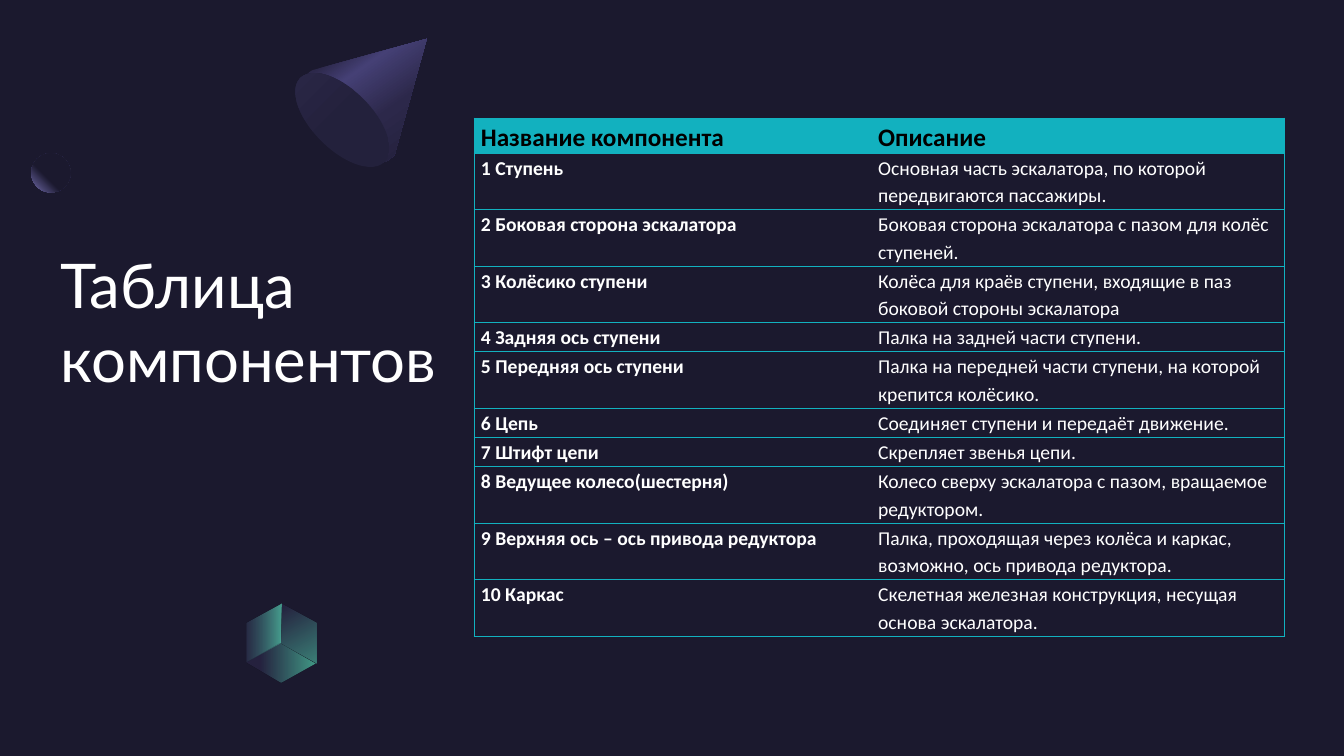
"""Build the slide with the table of escalator components."""
import math

import pptx
import pptx.dml.color
import pptx.enum.shapes
import pptx.enum.text
import pptx.oxml
import pptx.oxml.ns
import pptx.util

Inches = pptx.util.Inches
COLORS = {
    "night": "1B192E", "lilac": "7771B2", "violet": "454075", "plum": "2C284A",
    "ink": "23213C", "mint": "5BEFC1", "teal": "12B1BF", "white": "FFFFFF", "black": "000000",
}
HEADER = ("Название компонента", "Описание")
COMPONENTS = [
    ("1 Ступень", "Основная часть эскалатора, по которой передвигаются пассажиры."),
    ("2 Боковая сторона эскалатора", "Боковая сторона эскалатора с пазом для колёс ступеней."),
    ("3 Колёсико ступени", "Колёса для краёв ступени, входящие в паз боковой стороны эскалатора"),
    ("4 Задняя ось ступени", "Палка на задней части ступени."),
    ("5 Передняя ось ступени", "Палка на передней части ступени, на которой крепится колёсико."),
    ("6 Цепь", "Соединяет ступени и передаёт движение."),
    ("7 Штифт цепи", "Скрепляет звенья цепи."),
    ("8 Ведущее колесо(шестерня)", "Колесо сверху эскалатора с пазом, вращаемое редуктором."),
    ("9 Верхняя ось – ось привода редуктора",
     "Палка, проходящая через колёса и каркас, возможно, ось привода редуктора."),
    ("10 Каркас", "Скелетная железная конструкция, несущая основа эскалатора."),
]
CONE_SIDES = [(4.16, 0.42), (3.85, 1.54), (3.85, 1.55)]
CONE_RIM = [
    [(3.85, 1.55), (3.84, 1.57), (3.83, 1.59), (3.81, 1.6)],
    [(3.81, 1.6), (3.7, 1.72), (3.42, 1.63), (3.19, 1.39)],
    [(3.19, 1.39), (2.95, 1.16), (2.86, 0.88), (2.98, 0.77)],
    [(2.98, 0.77), (2.99, 0.75), (3.01, 0.74), (3.03, 0.73)],
]
CUBE_CENTER = (2.78, 6.38)
CUBE_FACES = [
    ([(3.13, 6.18), (2.79, 5.99), CUBE_CENTER, (3.13, 6.58)], (2.96, 6.28), 0, 60),
    ([(2.45, 6.57), (2.45, 6.18), (2.79, 5.99), CUBE_CENTER], (2.62, 6.28), 300, 100),
    ([(3.13, 6.58), (2.79, 6.77), (2.45, 6.57), CUBE_CENTER], (2.79, 6.58), 300, 60),
]


def rgb(color):
    return pptx.dml.color.RGBColor.from_string(COLORS[color])


def write_text(frame, text, font="Calibri", size=14, color="white", bold=False,
               line_spacing=None, space_after=None):
    paragraph = frame.paragraphs[0]
    paragraph.line_spacing = line_spacing
    if space_after is not None:
        paragraph.space_after = pptx.util.Pt(space_after)
    run = paragraph.add_run()
    run.text = text
    run.font.name, run.font.size, run.font.bold = font, pptx.util.Pt(size), bold
    run.font.color.rgb = rgb(color)


def curve_points(start, first, second, end, steps=8):
    for step in range(1, steps + 1):
        t = step / steps
        weights = ((1 - t) ** 3, 3 * t * (1 - t) ** 2, 3 * t * t * (1 - t), t ** 3)
        yield tuple(sum(w * point[axis] for w, point in zip(weights, (start, first, second, end)))
                    for axis in (0, 1))


def turn(point, pivot, degrees):
    angle = math.radians(degrees)
    dx, dy = point[0] - pivot[0], point[1] - pivot[1]
    return (Inches(pivot[0] + dx * math.cos(angle) - dy * math.sin(angle)),
            Inches(pivot[1] + dx * math.sin(angle) + dy * math.cos(angle)))


class Deck:
    def __init__(self):
        self.presentation = pptx.Presentation()
        self.presentation.slide_width = Inches(13.33)
        self.presentation.slide_height = Inches(7.5)
        self.slide = self.presentation.slides.add_slide(self.presentation.slide_layouts[6])
        self.shapes = self.slide.shapes
        backdrop = self.slide.background.fill
        backdrop.solid()
        backdrop.fore_color.rgb = rgb("night")

    def group(self):
        return self.slide.shapes.add_group_shape().shapes

    def gradient(self, shape, stops, direction):
        shape.fill.gradient()
        fill = shape._element.spPr.find(pptx.oxml.ns.qn("a:gradFill"))
        marks = "".join(
            f'<a:gs pos="{position * 1000}"><a:srgbClr val="{COLORS[color]}">'
            f'<a:alpha val="{alpha * 1000}"/></a:srgbClr></a:gs>'
            for position, color, alpha in stops)
        source = pptx.oxml.parse_xml(
            f'<a:gradFill {pptx.oxml.ns.nsdecls("a")} rotWithShape="1">'
            f'<a:gsLst>{marks}</a:gsLst>{direction}</a:gradFill>')
        fill.getparent().replace(fill, source)

    def finish(self, shape, rotation):
        shape.shadow.inherit = False
        shape.line.fill.background()
        shape.rotation = rotation
        return shape

    def preset(self, kind, box, shapes=None, rotation=0):
        shape = (shapes or self.shapes).add_shape(kind, *map(Inches, box))
        return self.finish(shape, rotation)

    def outline(self, shapes, points, pivot, rotation):
        start, *rest = [turn(point, pivot, -rotation) for point in points]
        builder = shapes.build_freeform(*start)
        builder.add_line_segments(rest, close=True)
        return self.finish(builder.convert_to_shape(), rotation)

    def title(self, text, box):
        frame = self.shapes.add_textbox(*map(Inches, box)).text_frame
        frame.word_wrap = True
        frame.vertical_anchor = pptx.enum.text.MSO_ANCHOR.BOTTOM
        frame.margin_left = frame.margin_right = frame.margin_top = frame.margin_bottom = 0
        write_text(frame, text, font="Lato", size=44)

    def borders(self, cell, hidden):
        properties = cell._tc.get_or_add_tcPr()
        for side in "LRTB":
            paint = ("<a:noFill/>" if side == hidden else
                     f'<a:solidFill><a:srgbClr val="{COLORS["teal"]}"/></a:solidFill>')
            properties.append(pptx.oxml.parse_xml(
                f'<a:ln{side} {pptx.oxml.ns.nsdecls("a")} w="6350">{paint}</a:ln{side}>'))

    def table(self, rows, left, top, widths):
        heights = [0.35] + [0.56 if len(about) > 40 else 0.29 for _, about in rows[1:]]
        table = self.shapes.add_table(
            len(rows), len(widths), Inches(left), Inches(top),
            Inches(sum(widths)), Inches(sum(heights))).table
        table.first_row = table.horz_banding = False
        for column, width in zip(table.columns, widths):
            column.width = Inches(width)
        for row_index, (row, height) in enumerate(zip(rows, heights)):
            table.rows[row_index].height = Inches(height)
            for column_index, text in enumerate(row):
                cell = table.cell(row_index, column_index)
                header = row_index == 0
                cell.margin_left = cell.margin_right = Inches(0.07)
                cell.margin_top = cell.margin_bottom = 0
                self.borders(cell, "RL"[column_index])
                if header:
                    cell.fill.solid()
                    cell.fill.fore_color.rgb = rgb("teal")
                else:
                    cell.fill.background()
                write_text(cell.text_frame, text, size=18 if header else 14,
                           color="black" if header else "white",
                           bold=header or column_index == 0,
                           line_spacing=1.15, space_after=10)


def linear(angle):
    return f'<a:lin ang="{angle * 60000}" scaled="0"/>'


def main():
    deck = Deck()
    kinds = pptx.enum.shapes.MSO_SHAPE
    backdrop = deck.preset(kinds.RECTANGLE, (0, 0, 13.33, 7.5))
    backdrop.fill.solid()
    backdrop.fill.fore_color.rgb = rgb("night")

    ball = deck.preset(kinds.OVAL, (0.31, 1.52, 0.39, 0.39))
    deck.gradient(ball, [(60, "night", 100), (100, "lilac", 100)],
                  '<a:path path="circle"><a:fillToRect l="100000" b="100000"/></a:path>')

    cone = deck.group()
    rim = [point for curve in CONE_RIM for point in curve_points(*curve)]
    side = deck.outline(cone, CONE_SIDES + rim, (3.67, 0.8), 45)
    deck.gradient(side, [(30, "plum", 100), (40, "violet", 100),
                         (60, "plum", 100), (100, "night", 100)], linear(10))
    base = deck.preset(kinds.OVAL, (3.1, 0.6, 0.59, 1.18), cone, 135)
    deck.gradient(base, [(50, "ink", 100), (100, "plum", 100)], linear(90))

    deck.title("Таблица компонентов", (0.6, 0.6, 3.9, 3.32))

    cube = deck.group()
    for corners, pivot, angle, opacity in CUBE_FACES:
        face = deck.outline(cube, corners, pivot, 60)
        deck.gradient(face, [(20, "plum", 60), (100, "mint", opacity)], linear(angle))

    deck.table([HEADER] + COMPONENTS, 4.7, 1.17, (3.94, 4.1))
    deck.presentation.save("out.pptx")


if __name__ == "__main__":
    main()
